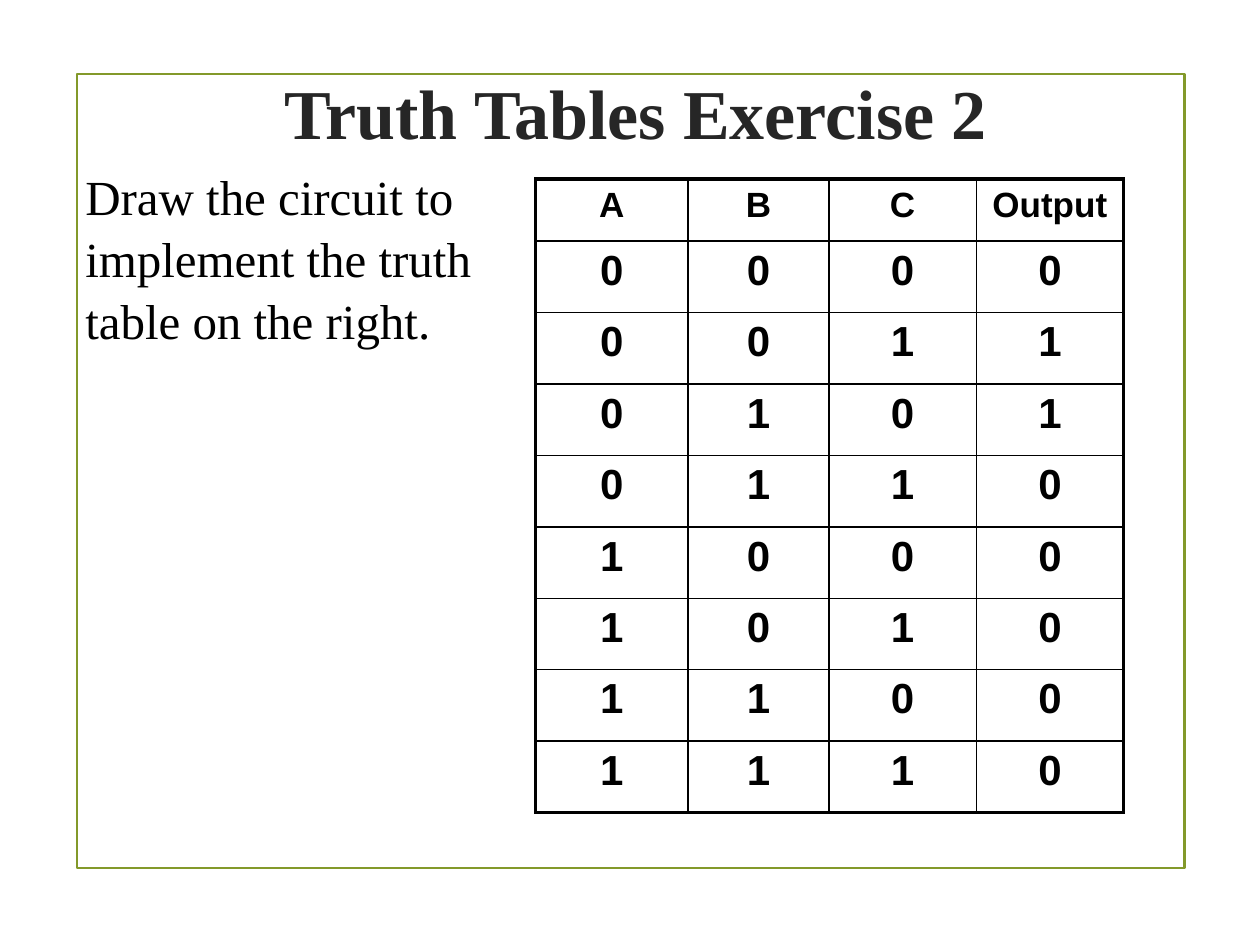
from itertools import product
from lxml import etree
from pptx import Presentation
from pptx import util as u
from pptx.dml.color import RGBColor
from pptx.enum import shapes, text
from pptx.oxml import ns

TITLE = "Truth Tables Exercise 2"
INSTRUCTION = ["Draw the circuit to", "implement the truth", "table on the right."]
HEADER = ["A", "B", "C", "Output"]
OUTPUTS = [0, 1, 1, 0, 0, 0, 0, 0]
ROWS = [HEADER] + [
    [*inputs, output] for inputs, output in zip(product([0, 1], repeat=3), OUTPUTS)
]
COLUMN_WIDTHS = [3.07, 2.84, 2.97, 2.97]
ROW_HEIGHTS = [1.25] + [1.44] * len(OUTPUTS)
OUTER_LINE, INNER_LINE = 2.25, 1
BLACK, TITLE_COLOR, FRAME_COLOR = "000000", "262626", "83992A"


def color(value):
    return RGBColor.from_string(value)


def add_run(paragraph, content, size, name, value, bold=False):
    run = paragraph.add_run()
    run.text = content
    run.font.size = u.Pt(size)
    run.font.name = name
    run.font.bold = bold
    run.font.color.rgb = color(value)


def add_text_box(slide, box, lines, size, value, bold=False, spacing=1.0,
                 anchor=text.MSO_ANCHOR.TOP, align=text.PP_ALIGN.LEFT):
    frame = slide.shapes.add_textbox(*map(u.Cm, box)).text_frame
    frame.word_wrap = True
    frame.vertical_anchor = anchor
    for index, line in enumerate(lines):
        paragraph = frame.add_paragraph() if index else frame.paragraphs[0]
        paragraph.alignment = align
        paragraph.line_spacing = spacing
        add_run(paragraph, line, size, "Times New Roman", value, bold)


def set_borders(cell, widths):
    properties = cell._tc.get_or_add_tcPr()
    for index, (side, width) in enumerate(widths.items()):
        line = etree.Element(ns.qn("a:ln" + side), w=str(u.Pt(width)))
        fill = etree.SubElement(line, ns.qn("a:solidFill"))
        etree.SubElement(fill, ns.qn("a:srgbClr"), val=BLACK)
        properties.insert(index, line)


def add_frame(slide):
    frame = slide.shapes.add_shape(
        shapes.MSO_SHAPE.RECTANGLE, u.Cm(1.55), u.Cm(1.5), u.Cm(22.33), u.Cm(16))
    frame.shadow.inherit = False
    frame.fill.background()
    frame.line.color.rgb = color(FRAME_COLOR)
    frame.line.width = u.Pt(1.25)


def add_truth_table(slide):
    table = slide.shapes.add_table(
        len(ROWS), len(HEADER), u.Cm(10.8), u.Cm(3.61),
        u.Cm(sum(COLUMN_WIDTHS)), u.Cm(sum(ROW_HEIGHTS))).table
    table.horz_banding = False
    for column, width in zip(table.columns, COLUMN_WIDTHS):
        column.width = u.Cm(width)
    for row, height in zip(table.rows, ROW_HEIGHTS):
        row.height = u.Cm(height)
    last_row, last_column = len(ROWS) - 1, len(HEADER) - 1
    for r, values in enumerate(ROWS):
        for c, value in enumerate(values):
            cell = table.cell(r, c)
            cell.fill.background()
            paragraph = cell.text_frame.paragraphs[0]
            paragraph.alignment = text.PP_ALIGN.CENTER
            add_run(paragraph, str(value), 24 if r else 20, "Arial", BLACK, True)
            edges = {"L": c == 0, "R": c == last_column,
                     "T": r == 0, "B": r == last_row}
            set_borders(cell, {side: OUTER_LINE if outer else INNER_LINE
                               for side, outer in edges.items()})


def main():
    presentation = Presentation()
    presentation.slide_width = u.Cm(25.4)
    presentation.slide_height = u.Cm(19.05)
    slide = presentation.slides.add_slide(presentation.slide_layouts[6])
    add_frame(slide)
    add_text_box(slide, (1.7, 0.43, 22.23, 3.63), [TITLE], 40, TITLE_COLOR, bold=True,
                 anchor=text.MSO_ANCHOR.MIDDLE, align=text.PP_ALIGN.CENTER)
    add_truth_table(slide)
    add_text_box(slide, (1.47, 3.18, 8.61, 3.84), INSTRUCTION, 28, BLACK, spacing=1.05)
    presentation.save("out.pptx")


if __name__ == "__main__":
    main()
